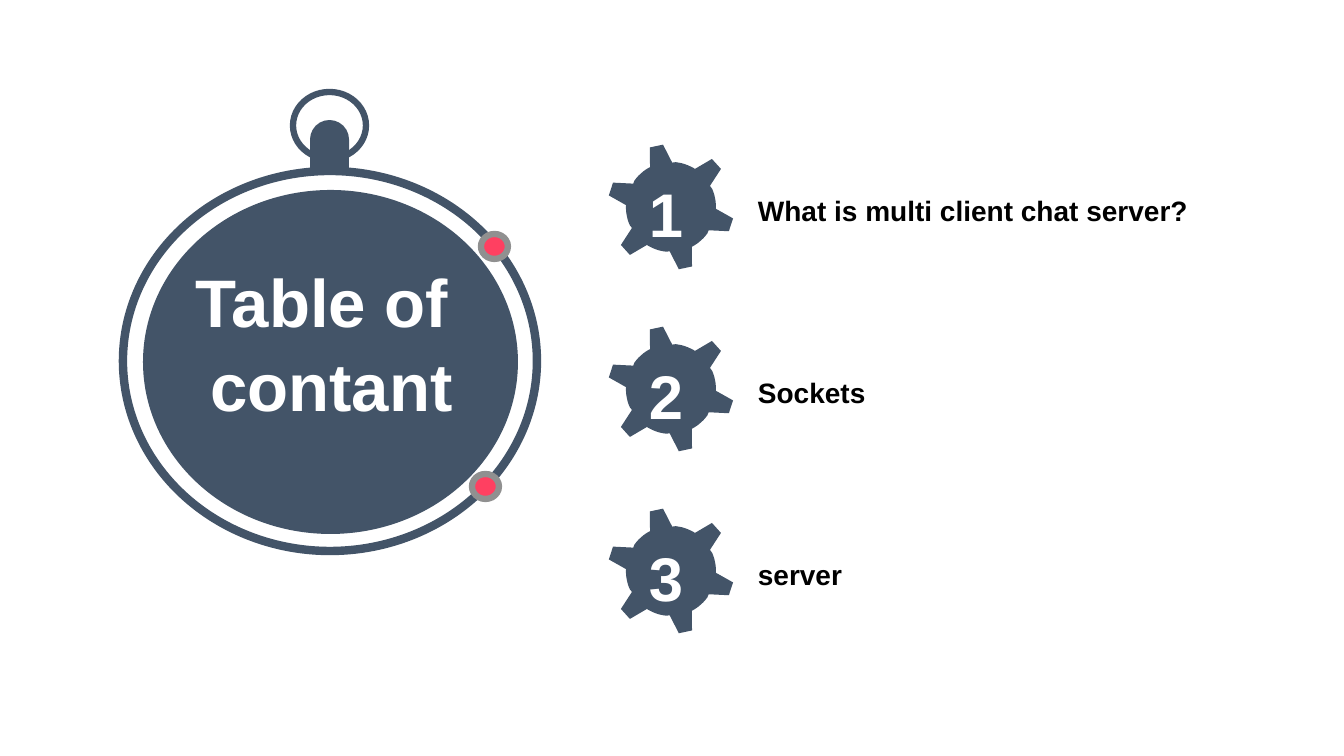
import math
from pptx import Presentation, util as u
from pptx.dml.color import RGBColor
from pptx.enum import shapes, text

PX = 914400 / 100.8
COLORS = {"slate": "435468", "pink": "FF4061", "grey": "909090",
          "white": "FFFFFF", "black": "000000"}
KIND = shapes.MSO_SHAPE


def paint(shape, fill=None, line=None, width=0):
    shape.shadow.inherit = False
    if fill:
        shape.fill.solid()
        shape.fill.fore_color.rgb = RGBColor.from_string(COLORS[fill])
    else:
        shape.fill.background()
    if line:
        shape.line.color.rgb = RGBColor.from_string(COLORS[line])
        shape.line.width = u.Pt(width)
    else:
        shape.line.fill.background()


def write(shape, words, size, color, align, spacing, wrap):
    frame = shape.text_frame
    frame.text = words
    frame.word_wrap = wrap
    frame.vertical_anchor = text.MSO_ANCHOR.TOP
    frame.auto_size = text.MSO_AUTO_SIZE.NONE
    for paragraph in frame.paragraphs:
        paragraph.alignment = align
        paragraph.line_spacing = spacing
        font = paragraph.runs[0].font
        font.name, font.size, font.bold = "Arial", u.Pt(size), True
        font.color.rgb = RGBColor.from_string(COLORS[color])


prs = Presentation()
prs.slide_width, prs.slide_height = round(1344 * PX), round(756 * PX)
slide = prs.slides.add_slide(prs.slide_layouts[5])

# Stopwatch: face, rim, crown, ring, stem and two buttons
watch_parts = [
    (KIND.OVAL, (143, 190, 375, 344), "slate", None, 0),
    (KIND.OVAL, (123, 171, 414, 380), None, "slate", 6),
    (KIND.ROUNDED_RECTANGLE, (310, 120, 39, 51), "slate", None, 0),
    (KIND.OVAL, (293, 92, 73, 67), None, "slate", 4.5),
    (KIND.RECTANGLE, (310, 145, 39, 28), "slate", None, 0),
    (KIND.OVAL, (481, 234, 27, 25), "pink", "grey", 4.5),
    (KIND.OVAL, (472, 474, 27, 25), "pink", "grey", 4.5),
]
for kind, box, fill, line, width in watch_parts:
    part = slide.shapes.add_shape(kind, *(round(v * PX) for v in box))
    paint(part, fill, line, width)
    if kind == KIND.ROUNDED_RECTANGLE:
        part.adjustments[0] = 0.5

# Title, brought in front of the watch face
title = slide.shapes.title
title.left, title.top, title.width, title.height = (
    round(v * PX) for v in (127, 251, 409, 224))
write(title, "Table of \ncontant", 48, "white", text.PP_ALIGN.CENTER, 1.05, True)
title.element.getparent().append(title.element)

# Gear outline around its centre: one tooth and one arc, turned six times
HUB_RADIUS = 45
tooth = [(24, -38), (41, -48), (50, -38), (39, -21)]
arc = [(HUB_RADIUS * math.cos(math.radians(a)), HUB_RADIUS * math.sin(math.radians(a)))
       for a in range(-24, 2, 4)]
gear_outline = []
for turn in range(6):
    cos, sin = math.cos(turn * math.pi / 3), math.sin(turn * math.pi / 3)
    gear_outline += [(x * cos - y * sin, x * sin + y * cos) for x, y in tooth + arc]

# Numbered contents
GEAR_X, GEAR_Y, PITCH = 671, 207, 182
contents = [("What is multi client chat server?", 454), ("Sockets", 129), ("server", 105)]
for index, (topic, topic_width) in enumerate(contents):
    center_y = GEAR_Y + index * PITCH
    points = [((GEAR_X + x) * 10, (center_y + y) * 10) for x, y in gear_outline]
    outline = slide.shapes.build_freeform(*points[0], scale=PX / 10)
    outline.add_line_segments(points[1:], close=True)
    paint(outline.convert_to_shape(), "slate")

    number = slide.shapes.add_textbox(
        *(round(v * PX) for v in (642, center_y - 43, 48, 115)))
    write(number, str(index + 1), 44, "white", text.PP_ALIGN.CENTER, 1.1, False)

    label = slide.shapes.add_textbox(
        *(round(v * PX) for v in (748, center_y - 20, topic_width, 44)))
    write(label, topic, 20, "black", text.PP_ALIGN.LEFT, 1.05, False)

prs.save("out.pptx")
